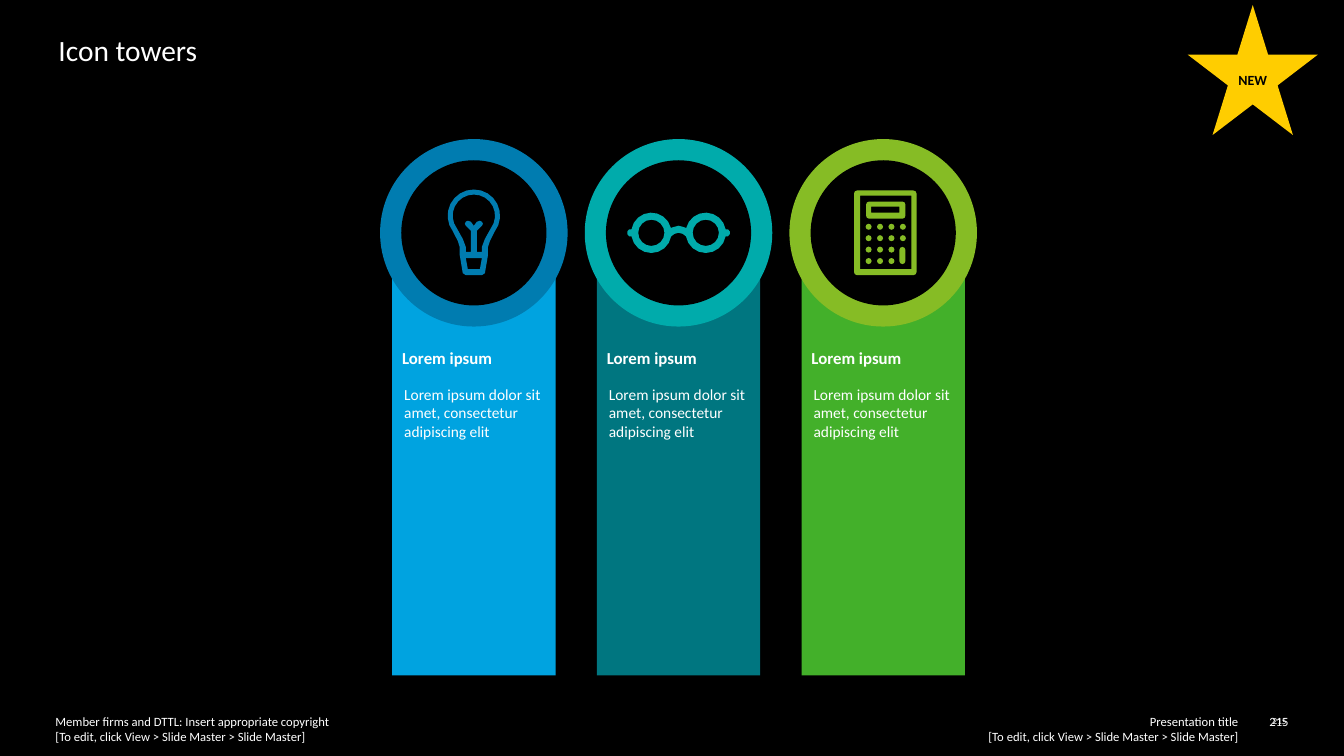
from dataclasses import dataclass
from math import cos, radians, sin

from pptx import Presentation
from pptx.dml.color import RGBColor
from pptx.enum.shapes import MSO_SHAPE
from pptx.enum.text import MSO_ANCHOR, PP_ALIGN
from pptx.util import Pt

PX = 9144
RECTANGLE, OVAL, STAR = MSO_SHAPE.RECTANGLE, MSO_SHAPE.OVAL, MSO_SHAPE.STAR_5_POINT
LEFT, CENTER, RIGHT = PP_ALIGN.LEFT, PP_ALIGN.CENTER, PP_ALIGN.RIGHT
MIDDLE = MSO_ANCHOR.MIDDLE


@dataclass(frozen=True)
class Theme:
    """Hold the font, colours and type sizes of the slide."""
    font: str = "Calibri"
    background: str = "000000"
    text: str = "FFFFFF"
    badge: str = "FFCD00"
    towers: tuple = (("00A3E0", "007CB0"), ("007680", "00ABAB"), ("43B02A", "86BC25"))
    title_size: float = 21
    heading_size: float = 12
    body_size: float = 11
    badge_size: float = 10
    footer_size: float = 9
    small_size: float = 6.5


THEME = Theme()
EDIT_HINT = "[To edit, click View > Slide Master > Slide Master]"


def paint(shape, color):
    """Give a shape a plain fill with no line and no shadow."""
    shape.shadow.inherit = False
    shape.fill.solid()
    shape.fill.fore_color.rgb = RGBColor.from_string(color)
    shape.line.fill.background()


def add_block(slide, kind, box, color):
    """Add a preset shape filled with one colour."""
    shape = slide.shapes.add_shape(kind, *(length * PX for length in box))
    paint(shape, color)
    return shape


def write(shape, text, size, bold=False, align=LEFT, color=THEME.text):
    """Set the text of a shape and format its only paragraph."""
    shape.text_frame.text = text
    paragraph = shape.text_frame.paragraphs[0]
    paragraph.alignment = align
    for run in paragraph.runs:
        run.font.name = THEME.font
        run.font.size = Pt(size)
        run.font.bold = bold
        run.font.color.rgb = RGBColor.from_string(color)
    return paragraph


def add_label(slide, box, text, size, inset=(0, 0), wrap=True, **style):
    """Add a text box with the given side and top insets."""
    label = slide.shapes.add_textbox(*(length * PX for length in box))
    frame = label.text_frame
    frame.word_wrap = wrap
    frame.margin_left = frame.margin_right = inset[0] * PX
    frame.margin_top = frame.margin_bottom = inset[1] * PX
    write(label, text, size, **style)


def arc(x, y, radius, start, end, steps):
    """List points along an arc, with angles in degrees clockwise."""
    angles = [radians(start + (end - start) * step / steps) for step in range(steps + 1)]
    return [(x + radius * cos(angle), y + radius * sin(angle)) for angle in angles]


def ring(x, y, radius, sides):
    """List the points of a full circle without repeating the first."""
    return arc(x, y, radius, 0, 360, sides)[:-1]


def mirrored(points):
    """Close a right-hand outline with its reflection."""
    return points + [(-x, y) for x, y in reversed(points) if x]


def rectangle(left, top, right, bottom):
    """List the corners of a rectangle."""
    return [(left, top), (right, top), (right, bottom), (left, bottom)]


def rounded(left, top, right, bottom, radius=3):
    """List the outline of a rectangle with rounded corners."""
    corners = rectangle(left + radius, top + radius, right - radius, bottom - radius)
    return [point for (x, y), start in zip(corners, (180, 270, 0, 90))
            for point in arc(x, y, radius, start, start + 90, 2)]


def bulb_outlines():
    """Outline a light bulb around its centre."""
    body = arc(0, -17, 26, 270, 397, 8) + [(16, 8), (14, 14), (14, 22), (11, 40), (8, 42)]
    filament = arc(0, -17, 21, 270, 397, 8) + [
        (11, 6), (8, 14), (8, 19), (3, 19), (3, -2), (8, -7), (9, -9), (8, -11), (6, -12),
        (3, -11), (0, -7)]
    return [mirrored(body), mirrored(filament), mirrored([(8, 25), (6, 36)])]


def glasses_outlines():
    """Outline a pair of round glasses around their centre."""
    frame = [(0, -7), (4, -6), *arc(27, 0, 20, 194, 350, 8), *arc(47, 0, 4, -60, 60, 3),
             *arc(27, 0, 20, 10, 170, 8), (4, 1), (0, 0)]
    return [mirrored(frame), ring(-27, 0, 13, 16), ring(27, 0, 13, 16)]


def calculator_outlines():
    """Outline a calculator with its display and keys."""
    case = [rounded(-29, -42, 33, 42), rectangle(-23, -37, 28, 36)]
    display = [rounded(-17, -31, 22, -14), rectangle(-12, -26, 16, -20)]
    pitch = 34 / 3
    keys = [ring(-14.5 + pitch * column, -6 + pitch * row, 3, 8)
            for row in range(4) for column in range(4) if column < 3 or row < 2]
    return case + display + keys + [rounded(16, 14, 22, 31)]


def add_icon(slide, center, outlines, color):
    """Draw closed outlines around a centre as one freeform."""
    contours = [[((center[0] + x) * PX, (center[1] + y) * PX) for x, y in outline]
                for outline in outlines]
    builder = slide.shapes.build_freeform(*contours[0][0])
    builder.add_line_segments(contours[0][1:])
    for contour in contours[1:]:
        builder.move_to(*contour[0])
        builder.add_line_segments(contour[1:])
    paint(builder.convert_to_shape(), color)


def add_tower(slide, box, colors, outlines):
    """Build a column topped by a ringed icon, with heading and body."""
    left, top, width, height = box
    column_color, ring_color = colors
    column_left, column_width, rim = left + 12, width - 24, 21
    add_block(slide, RECTANGLE, (column_left, top + 99, column_width, height - 99), column_color)
    add_label(slide, (column_left, top + 202, 111, 30), "Lorem ipsum",
              THEME.heading_size, (10, 5), wrap=False, bold=True)
    add_block(slide, OVAL, (left, top, width, width), ring_color)
    hole = width - 2 * rim
    add_block(slide, OVAL, (left + rim, top + rim, hole, hole), THEME.background)
    add_icon(slide, (left + width // 2, top + width // 2), outlines, ring_color)
    add_label(slide, (column_left + 2, top + 239, column_width, 66),
              "Lorem ipsum dolor sit amet, consectetur adipiscing elit",
              THEME.body_size, (10, 5))


def add_towers(slide, box):
    """Spread the three towers evenly over a box."""
    left, top, width, height = box
    tower_width = 186
    icons = (bulb_outlines(), glasses_outlines(), calculator_outlines())
    for index, (colors, outlines) in enumerate(zip(THEME.towers, icons)):
        tower_left = left + (width - tower_width) * index // 2
        add_tower(slide, (tower_left, top, tower_width, height), colors, outlines)


def add_footer(slide, box):
    """Place the copyright, presentation title and page numbers."""
    left, top, width, height = box
    right = left + width
    add_label(slide, (right - 585, top, 535, height), f"Presentation title\v{EDIT_HINT}",
              THEME.footer_size, align=RIGHT)
    add_label(slide, (left, top, 586, height),
              f"Member firms and DTTL: Insert appropriate copyright\v{EDIT_HINT}",
              THEME.footer_size)
    add_label(slide, (right - 34, top, 34, 15), "215", THEME.footer_size, align=RIGHT)
    add_label(slide, (right - 53, top + 2, 51, 36), "215", THEME.small_size, align=RIGHT)


def add_badge(slide, box):
    """Add the star that marks the slide as new."""
    star = add_block(slide, STAR, box, THEME.badge)
    frame = star.text_frame
    frame.margin_left = frame.margin_right = frame.margin_top = frame.margin_bottom = 10 * PX
    frame.vertical_anchor = MIDDLE
    paragraph = write(star, "NEW", THEME.badge_size, bold=True, align=CENTER,
                      color=THEME.background)
    paragraph.line_spacing = 1.06


def main():
    """Build and save the icon towers slide."""
    presentation = Presentation()
    presentation.slide_width, presentation.slide_height = 1333 * PX, 750 * PX
    slide = presentation.slides.add_slide(presentation.slide_layouts[6])
    slide.background.fill.solid()
    slide.background.fill.fore_color.rgb = RGBColor.from_string(THEME.background)
    add_footer(slide, (55, 708, 1223, 30))
    add_label(slide, (58, 32, 1218, 51), "Icon towers", THEME.title_size)
    add_towers(slide, (377, 138, 592, 532))
    add_badge(slide, (1178, 5, 129, 129))
    presentation.save("out.pptx")


if __name__ == "__main__":
    main()
